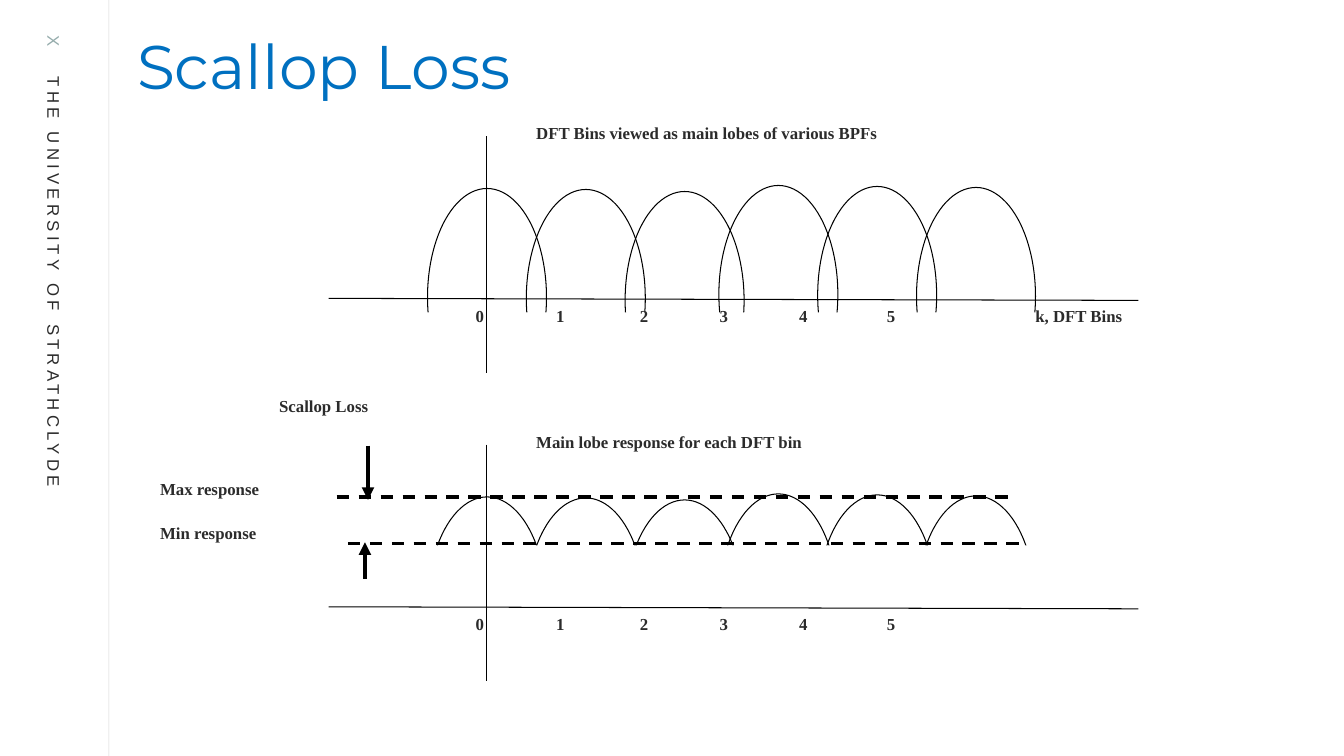
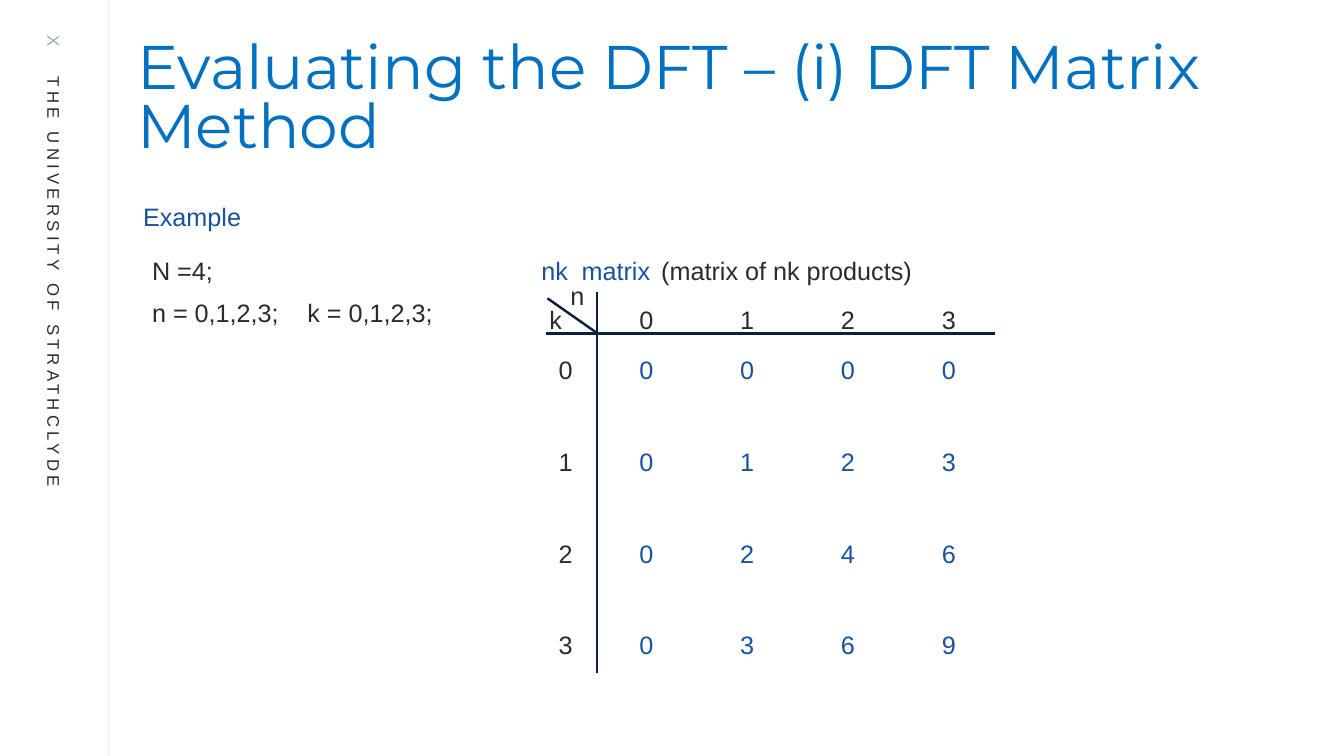
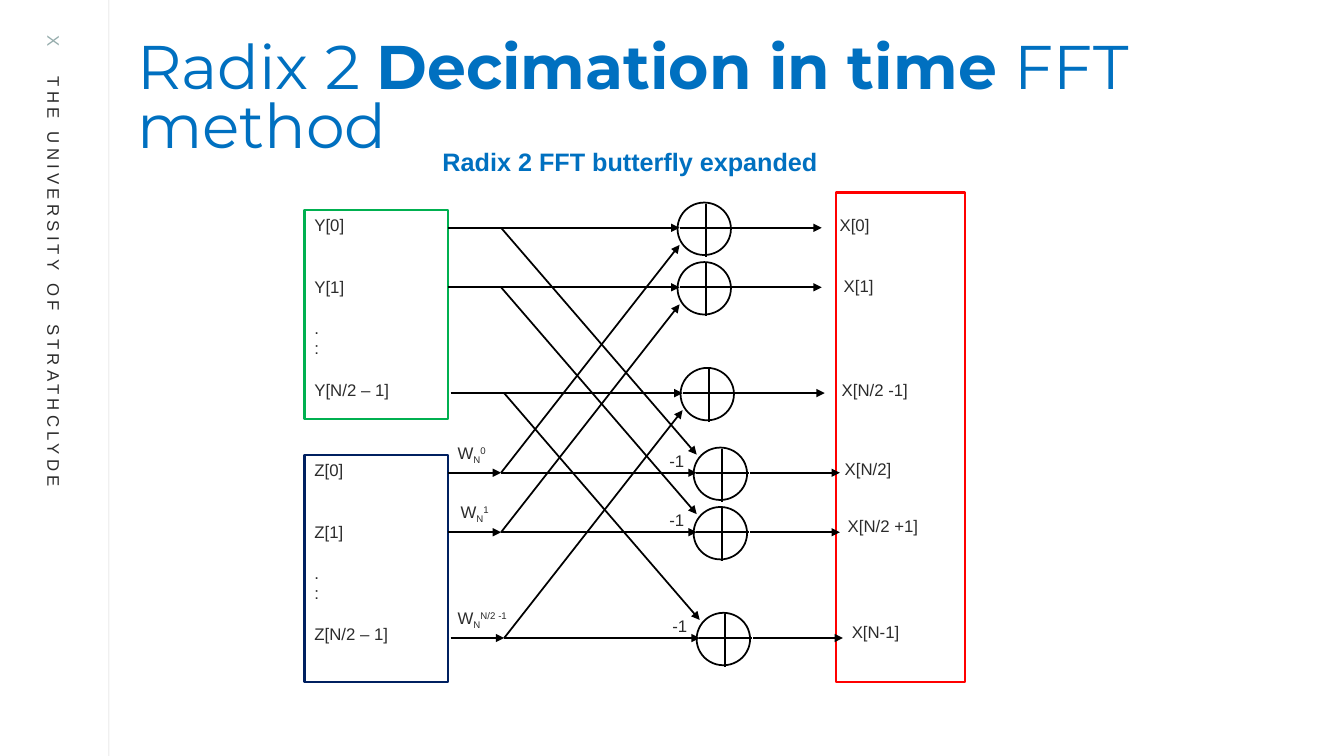
"""Build three slides on scallop loss, the DFT matrix and the radix 2 FFT butterfly."""
from lxml import etree
from pptx import Presentation
from pptx.dml.color import RGBColor
from pptx.enum.dml import MSO_LINE
from pptx.enum.shapes import MSO_CONNECTOR, MSO_SHAPE
from pptx.enum.text import MSO_ANCHOR, PP_ALIGN
from pptx.oxml.ns import qn
from pptx.util import Emu, Pt

PX = 9144
STRAIGHT = MSO_CONNECTOR.STRAIGHT
RECTANGLE, ELLIPSE = MSO_SHAPE.RECTANGLE, MSO_SHAPE.OVAL
DASH = MSO_LINE.DASH
LEFT, CENTER = PP_ALIGN.LEFT, PP_ALIGN.CENTER
TOP = MSO_ANCHOR.TOP

COLORS = {
    "text": "2B2B2B", "mark": "95ACAC", "title": "0070C0", "blue": "1652A0",
    "black": "000000", "white": "FFFFFF", "grid": "092140",
    "green": "00B050", "navy": "002060", "red": "FF0000",
}
SANS, SERIF, DISPLAY = "Arial", "Times New Roman", "Montserrat"
LOBES = [(424, 187), (522, 188), (620, 190), (713, 184), (811, 185), (909, 186)]
LOBE_WIDTH, LOBE_HEIGHT = 118, 216
BIN_TABS = [37, 117, 200, 279, 358, 445]
RESPONSE_SHIFT = 306


def px(*lengths):
    """Turn px lengths into EMU."""
    return [Emu(length * PX) for length in lengths]


def rgb(name):
    """Return the named colour."""
    return RGBColor.from_string(COLORS[name])


def write(paragraph, text, size=12, color="text", font=SANS, bold=False,
          spacing=None, baseline=None):
    """Add one formatted run to a paragraph."""
    run = paragraph.add_run()
    run.text = text
    run.font.size = Pt(size)
    run.font.name = font
    run.font.bold = bold
    run.font.color.rgb = rgb(color)
    for key, value in (("spc", spacing), ("baseline", baseline)):
        if value is not None:
            run.font._element.set(key, str(value))


def set_tabs(paragraph, positions, align="l"):
    """Give a paragraph its tab stops."""
    tab_list = etree.SubElement(paragraph._p.get_or_add_pPr(), qn("a:tabLst"))
    for position in positions:
        etree.SubElement(tab_list, qn("a:tab"), pos=str(position * PX), algn=align)


def add_box(slide, left, top, width, height):
    """Add an empty wrapping text box and return it."""
    box = slide.shapes.add_textbox(*px(left, top, width, height))
    box.text_frame.word_wrap = True
    box.text_frame.vertical_anchor = TOP
    return box


def add_text(slide, place, text, tabs=(), tab_align="l", **style):
    """Add a text box with one paragraph and return that paragraph."""
    paragraph = add_box(slide, *place).text_frame.paragraphs[0]
    if tabs:
        set_tabs(paragraph, tabs, tab_align)
    write(paragraph, text, **style)
    return paragraph


def add_shape(slide, kind, place, fill=None, line=None, weight=1.0):
    """Add a flat shape with optional fill and outline."""
    shape = slide.shapes.add_shape(kind, *px(*place))
    shape.shadow.inherit = False
    if fill:
        shape.fill.solid()
        shape.fill.fore_color.rgb = rgb(fill)
    else:
        shape.fill.background()
    if line:
        shape.line.color.rgb = rgb(line)
        shape.line.width = Pt(weight)
    else:
        shape.line.fill.background()
    return shape


def add_line(slide, start, end, color="black", weight=1.25, arrow=False,
             dash=None, opacity=None):
    """Add a straight line, with an arrowhead at its end if asked."""
    connector = slide.shapes.add_connector(STRAIGHT, *px(*start, *end))
    connector.line.color.rgb = rgb(color)
    connector.line.width = Pt(weight)
    if dash:
        connector.line.dash_style = dash
    properties = connector._element.spPr
    outline = properties.find(qn("a:ln"))
    if opacity:
        tint = next(outline.iter(qn("a:srgbClr")))
        etree.SubElement(tint, qn("a:alpha"), val=str(opacity * 1000))
    if arrow:
        etree.SubElement(outline, qn("a:tailEnd"), type="triangle")
    etree.SubElement(properties, qn("a:effectLst"))


def add_page(presentation, *title_runs):
    """Add a slide with the side rail and a title made of (text, bold) runs."""
    slide = presentation.slides.add_slide(presentation.slide_layouts[6])
    add_line(slide, (108, 0), (108, 750), color="text", weight=0.5, opacity=20)
    rail = add_box(slide, -230, 294, 567, 30)
    rail.rotation = 90
    paragraph = rail.text_frame.paragraphs[0]
    set_tabs(paragraph, [41])
    write(paragraph, "X", color="mark", spacing=300)
    write(paragraph, "\tTHE UNIVERSITY OF STRATHCLYDE", spacing=300)

    frame = add_box(slide, 136, 21, 1197, 79).text_frame
    frame.margin_left = frame.margin_right = frame.margin_bottom = 0
    frame.margin_top = Emu(21 * PX)
    frame.paragraphs[0].line_spacing = 0.8
    for text, bold in title_runs:
        write(frame.paragraphs[0], text, size=44, color="title", font=DISPLAY, bold=bold)
    return slide


def add_lobe_plot(slide, shift, cut, caption):
    """Draw the six lobes down to the cut, with axes, bin numbers and caption."""
    for left, top in LOBES:
        add_shape(slide, ELLIPSE, (left, top + shift, LOBE_WIDTH, LOBE_HEIGHT),
                  line="black", weight=0.75)
    add_shape(slide, RECTANGLE, (404, cut, 647, 408 + shift - cut), fill="white")
    add_line(slide, (326, 296 + shift), (1129, 298 + shift), weight=0.75)
    add_line(slide, (483, 135 + shift), (483, 370 + shift), weight=0.75)
    add_text(slide, (429, 298 + shift, 627, 36), "\t0\t1\t2\t3\t4\t5",
             tabs=BIN_TABS, tab_align="ctr", font=SERIF, bold=True)
    add_text(slide, (522, 117 + shift, 372, 36), caption, font=SERIF, bold=True)


def build_scallop_loss(presentation):
    """Build the scallop loss slide."""
    slide = add_page(presentation, ("Scallop Loss", False))
    add_lobe_plot(slide, 0, 310, "DFT Bins viewed as main lobes of various BPFs")
    add_lobe_plot(slide, RESPONSE_SHIFT, 541, "Main lobe response for each DFT bin")
    for start, end, level in ((334, 1000, 493), (345, 1012, 539)):
        add_line(slide, (start, level), (end, level), weight=2.25, dash=DASH)
    add_line(slide, (365, 442), (365, 496), weight=3, arrow=True)
    add_line(slide, (362, 574), (362, 538), weight=3, arrow=True)
    labels = [
        ((1017, 298, 117, 36), "k, DFT Bins"),
        ((149, 470, 200, 36), "Max response"),
        ((149, 514, 200, 36), "Min response"),
        ((267, 388, 216, 36), "Scallop Loss"),
    ]
    for place, text in labels:
        add_text(slide, place, text, font=SERIF, bold=True)


def add_product_table(slide):
    """Add the table of n times k products."""
    indices = range(4)
    rows = [["k", *indices]] + [[k, *(n * k for n in indices)] for k in indices]
    table = slide.shapes.add_table(5, 5, *px(531, 304, 460, 393)).table
    table.first_row = table.horz_banding = False
    for number, width in enumerate([60] + [100] * 4):
        table.columns[number].width = Emu(width * PX)
    for row_number, values in enumerate(rows):
        table.rows[row_number].height = Emu((91 if row_number else 29) * PX)
        for column_number, value in enumerate(values):
            cell = table.cell(row_number, column_number)
            cell.fill.background()
            cell.vertical_anchor = TOP
            cell.margin_left = cell.margin_right = cell.margin_bottom = 0
            cell.margin_top = Emu(20 * PX) if row_number else 0
            paragraph = cell.text_frame.paragraphs[0]
            paragraph.alignment = CENTER
            product = row_number and column_number
            write(paragraph, str(value), size=18, color="blue" if product else "text")
    corner = table.cell(0, 0)
    corner.margin_left = Emu(14 * PX)
    corner.text_frame.paragraphs[0].alignment = LEFT


def build_matrix(presentation):
    """Build the DFT matrix slide."""
    slide = add_page(presentation, ("Evaluating the DFT – (i) DFT Matrix Method", False))
    labels = [
        ((132, 195, 125, 40), "Example", "blue", ()),
        ((141, 248, 100, 40), "N =4;", "text", ()),
        ((141, 290, 320, 40), "n = 0,1,2,3;\tk = 0,1,2,3;", "text", [154]),
        ((527, 248, 135, 40), "nk\tmatrix", "blue", [40]),
        ((646, 248, 290, 40), "(matrix of nk products)", "text", ()),
        ((556, 273, 40, 40), "n", "text", ()),
    ]
    for place, text, color, tabs in labels:
        add_text(slide, place, text, tabs=tabs, size=18, color=color)
    add_product_table(slide)
    for start, end in (((542, 331), (987, 331)), ((592, 290), (592, 668)),
                       ((543, 296), (593, 331))):
        add_line(slide, start, end, color="grid", weight=1.75)


def add_input_box(slide, top, height, letter, color):
    """Add an outlined box that lists the samples of one input sequence."""
    shape = add_shape(slide, RECTANGLE, (302, top, 142, height),
                      fill="white", line=color, weight=1.5)
    frame = shape.text_frame
    frame.vertical_anchor = TOP
    entries = [(f"{letter}[0]", 0), (f"{letter}[1]", 30), (".", 15), (":", 0),
               (f"{letter}[N/2 – 1]", 15)]
    for number, (text, gap) in enumerate(entries):
        paragraph = frame.add_paragraph() if number else frame.paragraphs[0]
        paragraph.alignment = LEFT
        if gap:
            paragraph.space_before = Pt(gap)
        write(paragraph, text)


def add_sum_node(slide, left, top):
    """Draw a circled plus."""
    add_shape(slide, ELLIPSE, (left, top, 53, 52), fill="white", line="black", weight=1.25)
    add_line(slide, (left + 28, top + 1), (left + 28, top + 54))
    add_line(slide, (left + 2, top + 25), (left + 55, top + 25))


def add_butterfly(slide, left, top, exponent, twiddle_left):
    """Draw one butterfly from its upper input at left, top."""
    low = 243
    add_sum_node(slide, left + 228, top - 25)
    add_sum_node(slide, left + 244, top + low - 25)
    arrows = [
        (0, 0, 230, 0), (0, low, 53, low), (53, low, 247, low),
        (53, low, 230, 17), (53, 0, 247, 225),
        (283, 0, 371, 0), (300, low, 389, low),
    ]
    for x1, y1, x2, y2 in arrows:
        add_line(slide, (left + x1, top + y1), (left + x2, top + y2), arrow=True)
    add_text(slide, (left + 210, top + 216, 53, 46), "-1")
    twiddle = add_text(slide, (twiddle_left, top + 208, 120, 52), "W")
    write(twiddle, "N", baseline=-25000)
    write(twiddle, exponent, baseline=30000)


def build_butterfly(presentation):
    """Build the decimation in time slide."""
    slide = add_page(presentation, ("Radix 2 ", False), ("Decimation in time ", True),
                     ("FFT method", False))
    add_text(slide, (429, 140, 410, 40), "Radix 2 FFT butterfly expanded",
             size=18, color="title", bold=True)
    add_shape(slide, RECTANGLE, (829, 191, 128, 486), line="red", weight=1.5)
    add_input_box(slide, 208, 208, "Y", "green")
    add_input_box(slide, 451, 226, "Z", "navy")
    for left, top, exponent, twiddle_left in (
            (444, 226, "0", 444), (444, 285, "1", 447), (447, 390, "N/2 -1", 444)):
        add_butterfly(slide, left, top, exponent, twiddle_left)
    outputs = [(823, 208, "0"), (827, 269, "1"), (825, 372, "N/2 -1"),
               (828, 450, "N/2"), (831, 507, "N/2 +1"), (835, 612, "N-1")]
    for left, top, index in outputs:
        add_text(slide, (left, top, 120, 52), f"X[{index}]")


def main():
    """Build and save the presentation."""
    presentation = Presentation()
    presentation.slide_width, presentation.slide_height = px(1333, 750)
    build_scallop_loss(presentation)
    build_matrix(presentation)
    build_butterfly(presentation)
    presentation.save("out.pptx")


if __name__ == "__main__":
    main()
